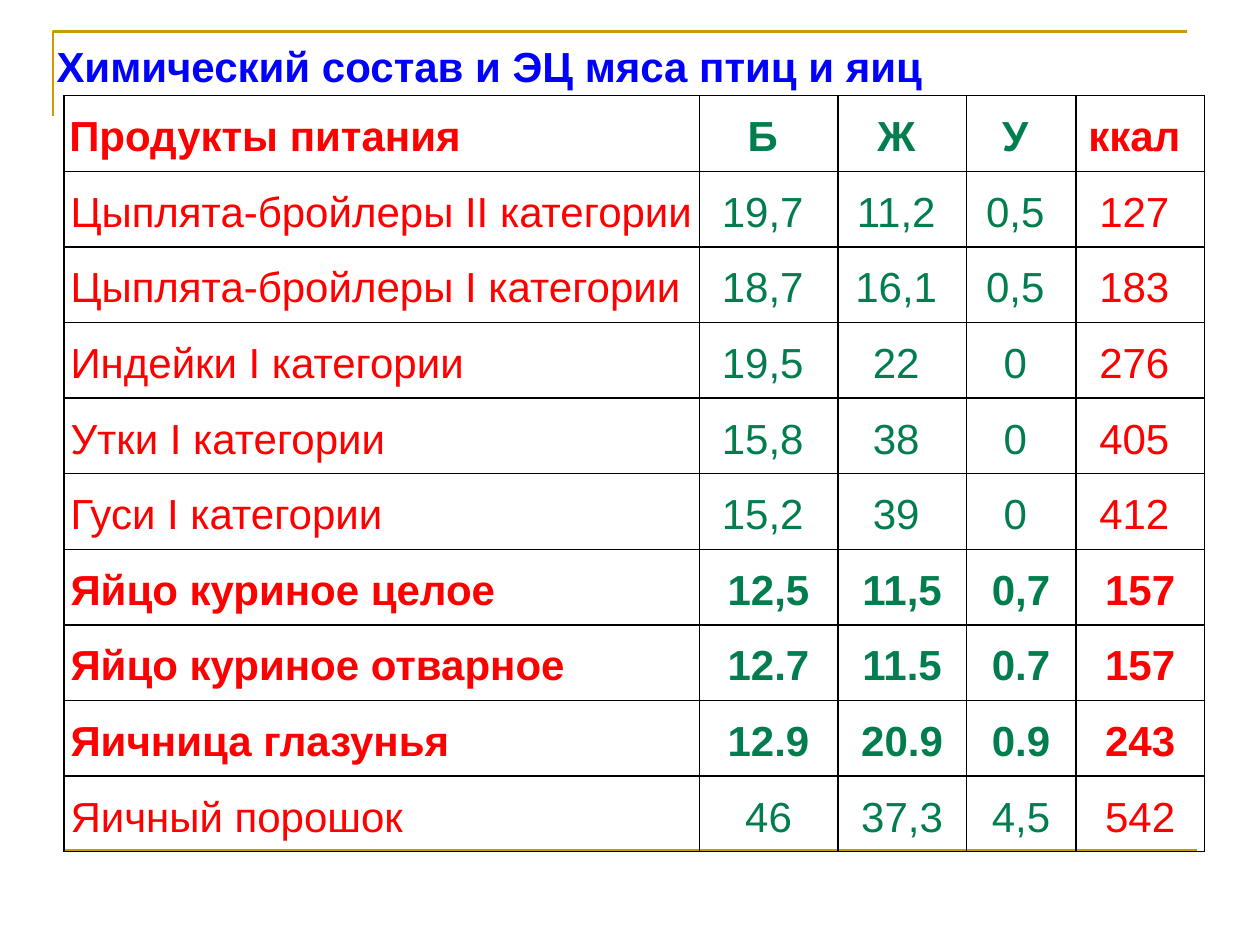
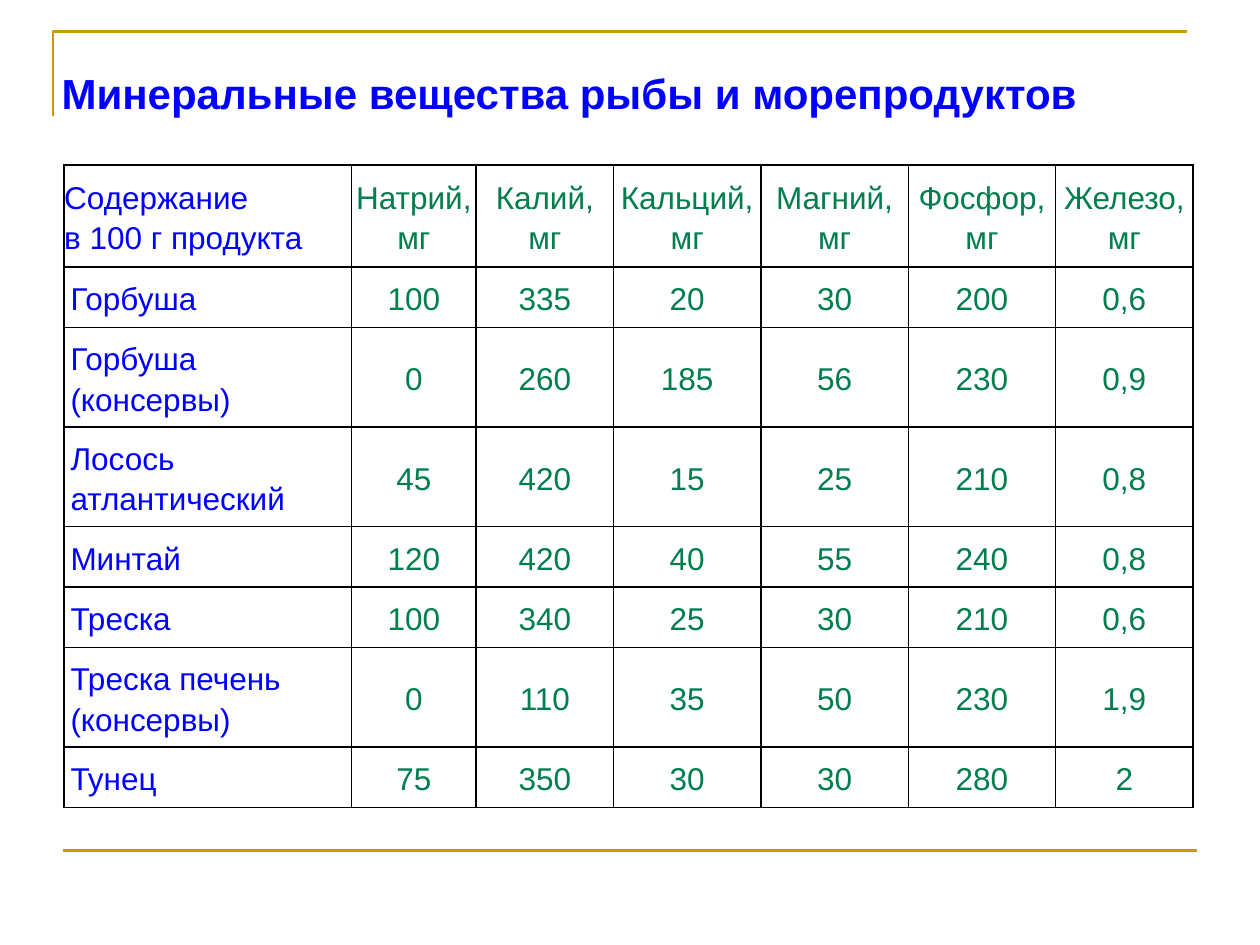
from lxml.etree import SubElement
from pptx import Presentation
from pptx.dml.color import RGBColor
from pptx.enum.shapes import MSO_CONNECTOR
from pptx.enum.text import MSO_ANCHOR, MSO_AUTO_SIZE, PP_ALIGN
from pptx.oxml.ns import qn
from pptx.util import Inches, Pt

GOLD = RGBColor(0xCC, 0x99, 0x00)
BLUE = RGBColor(0x00, 0x00, 0xFF)
RED = RGBColor(0xFF, 0x00, 0x00)
GREEN = RGBColor(0x01, 0x7D, 0x4E)
FONT = "Arial"
LINE_WIDTH = Pt(1.5)
TITLE_SIZE = 24
TABLE_LEFT = 0.51

POULTRY_ROWS = [
    ["Продукты питания", "Б ", "Ж ", "У ", "ккал "],
    ["Цыплята-бройлеры II категории", "19,7 ", "11,2 ", "0,5 ", "127 "],
    ["Цыплята-бройлеры I категории", "18,7 ", "16,1 ", "0,5 ", "183 "],
    ["Индейки I категории", "19,5 ", "22 ", "0 ", "276 "],
    ["Утки I категории", "15,8 ", "38 ", "0 ", "405 "],
    ["Гуси I категории", "15,2 ", "39 ", "0 ", "412 "],
    ["Яйцо куриное целое", "12,5", "11,5", "0,7", "157"],
    ["Яйцо куриное отварное", "12.7", "11.5", "0.7", "157"],
    ["Яичница глазунья", "12.9", "20.9", "0.9", "243"],
    ["Яичный порошок", "46", "37,3", "4,5", "542"],
]
FISH_ROWS = [
    ["Содержание\nв 100 г продукта", "Натрий, мг", "Калий, мг", "Кальций, мг",
     "Магний, мг", "Фосфор, мг", "Железо, мг"],
    ["Горбуша", "100", "335", "20", "30", "200", "0,6"],
    ["Горбуша (консервы)", "0", "260", "185", "56", "230", "0,9"],
    ["Лосось атлантический", "45", "420", "15", "25", "210", "0,8"],
    ["Минтай", "120", "420", "40", "55", "240", "0,8"],
    ["Треска", "100", "340", "25", "30", "210", "0,6"],
    ["Треска печень (консервы)", "0", "110", "35", "50", "230", "1,9"],
    ["Тунец", "75", "350", "30", "30", "280", "2"],
]
ONE_LINE, TWO_LINES = 0.48, 0.79

SLIDES = [
    {
        "title": "Химический состав и ЭЦ мяса птиц и яиц",
        "title_at": (0.35, 0.27),
        "table_top": 0.76,
        "rows": POULTRY_ROWS,
        "column_widths": [5.04, 1.1, 1.02, 0.87, 1.02],
        "row_heights": [0.6] * len(POULTRY_ROWS),
        "column_colors": [RED, GREEN, GREEN, GREEN, RED],
        "bold_rows": {0, 6, 7, 8},
        "header_margins": (0.04, 0.05),
        "font_size": 24,
    },
    {
        "title": "Минеральные вещества рыбы и морепродуктов",
        "title_at": (0.39, 0.49),
        "table_top": 1.31,
        "rows": FISH_ROWS,
        "column_widths": [2.28, 0.99, 1.09, 1.17, 1.17, 1.17, 1.09],
        "row_heights": [0.81, ONE_LINE, TWO_LINES, TWO_LINES,
                        ONE_LINE, ONE_LINE, TWO_LINES, ONE_LINE],
        "column_colors": [BLUE] + [GREEN] * 6,
        "bold_rows": set(),
        "header_margins": (0, 0),
        "font_size": 18,
    },
]
BODY_MARGINS = (0.05, 0.06)


def format_font(paragraph, size, color, bold):
    for run in paragraph.runs:
        run.font.name = FONT
        run.font.size = Pt(size)
        run.font.bold = bold
        run.font.color.rgb = color


def add_cell_borders(cell):
    properties = cell._tc.get_or_add_tcPr()
    for side in ("a:lnL", "a:lnR", "a:lnT", "a:lnB"):
        border = SubElement(properties, qn(side), w=str(Pt(1)))
        fill = SubElement(border, qn("a:solidFill"))
        SubElement(fill, qn("a:srgbClr"), val="000000")


presentation = Presentation()
presentation.slide_width = Inches(10)
presentation.slide_height = Inches(7.5)

for content in SLIDES:
    slide = presentation.slides.add_slide(presentation.slide_layouts[6])

    # Corner bracket and bottom rule
    builder = slide.shapes.build_freeform(Inches(0.42), Inches(0.92))
    builder.add_line_segments(
        [(Inches(0.42), Inches(0.25)), (Inches(9.42), Inches(0.25))], close=False)
    bracket = builder.convert_to_shape()
    bracket.shadow.inherit = False
    bracket.fill.background()
    bottom_rule = slide.shapes.add_connector(
        MSO_CONNECTOR.STRAIGHT, Inches(0.5), Inches(6.75), Inches(9.5), Inches(6.75))
    SubElement(bottom_rule._element.spPr, qn("a:effectLst"))
    for shape in (bracket, bottom_rule):
        shape.line.color.rgb = GOLD
        shape.line.width = LINE_WIDTH

    # Title
    left, top = content["title_at"]
    title = slide.shapes.add_textbox(Inches(left), Inches(top), Inches(9.65), Inches(0.5))
    title.text_frame.word_wrap = True
    title.text_frame.auto_size = MSO_AUTO_SIZE.SHAPE_TO_FIT_TEXT
    title.text_frame.text = content["title"]
    format_font(title.text_frame.paragraphs[0], TITLE_SIZE, BLUE, True)

    # Table
    rows, widths, heights = content["rows"], content["column_widths"], content["row_heights"]
    table = slide.shapes.add_table(
        len(rows), len(widths), Inches(TABLE_LEFT), Inches(content["table_top"]),
        Inches(sum(widths)), Inches(sum(heights))).table
    table.first_row = False
    table.horz_banding = False
    for column, width in zip(table.columns, widths):
        column.width = Inches(width)
    for row_index, values in enumerate(rows):
        table.rows[row_index].height = Inches(heights[row_index])
        name_margin, value_margin = BODY_MARGINS if row_index else content["header_margins"]
        for column_index, value in enumerate(values):
            cell = table.cell(row_index, column_index)
            add_cell_borders(cell)
            cell.fill.background()
            cell.vertical_anchor = MSO_ANCHOR.MIDDLE
            margin = Inches(value_margin if column_index else name_margin)
            cell.margin_left = cell.margin_right = margin
            cell.margin_top = cell.margin_bottom = margin
            paragraph = cell.text_frame.paragraphs[0]
            paragraph.text = value
            paragraph.line_spacing = 1.15
            paragraph.alignment = PP_ALIGN.CENTER if column_index else PP_ALIGN.LEFT
            format_font(paragraph, content["font_size"],
                        content["column_colors"][column_index],
                        row_index in content["bold_rows"])

presentation.save("out.pptx")
